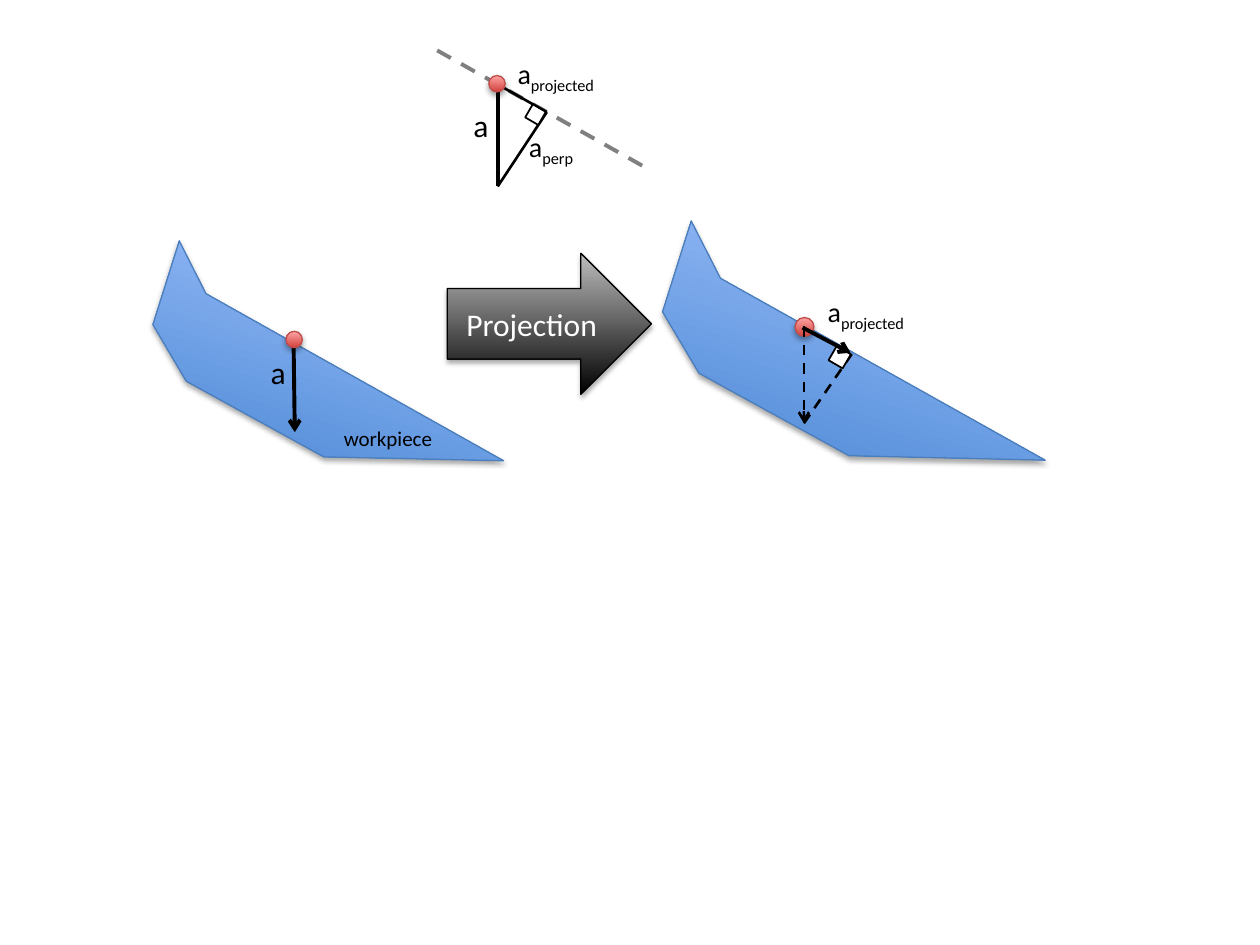
import pptx
import pptx.util
import pptx.dml.color
import pptx.enum.dml
import pptx.enum.shapes
import pptx.enum.text
import pptx.oxml
import pptx.oxml.ns

SHAPE = pptx.enum.shapes.MSO_SHAPE
BLUE = ("3F80CE", "A4C4FF", "4B7EBC")
RED = ("D1403C", "FFA6A5", "BF4C48")
GREY = ("000000", "BDBDBD", "000000")
WORKPIECE = [(0, 0.54), (0, 0), (0.11, 0.26), (1, 0.69), (0.54, 1), (0.13, 0.81)]


def color(value):
    return pptx.dml.color.RGBColor.from_string(value)


def add_xml(parent, tag, inner="", **attrs):
    pairs = " ".join(f'{k}="{v}"' for k, v in attrs.items())
    ns = pptx.oxml.ns.nsdecls("a")
    parent.append(pptx.oxml.parse_xml(f"<a:{tag} {ns} {pairs}>{inner}</a:{tag}>"))


class Sketch:
    font = "Calibri"
    ink = "000000"
    columns, rows = 100, 75

    def __init__(self, prs):
        self.col = prs.slide_width / self.columns
        self.row = prs.slide_height / self.rows
        self.shapes = prs.slides.add_slide(prs.slide_layouts[6]).shapes

    def start_group(self):
        self.shapes = self.shapes.add_group_shape().shapes

    def place(self, *lengths):
        return [round(n * (self.row if i % 2 else self.col)) for i, n in enumerate(lengths)]

    def glossy(self, sp, palette):
        dark, light, edge = palette
        sp.fill.gradient()
        sp.fill.gradient_angle = 90
        for stop, value in zip(sp.fill.gradient_stops, (dark, light)):
            stop.color.rgb = color(value)
        sp.line.color.rgb = color(edge)
        sp.line.width = pptx.util.Pt(0.75)
        sp.shadow.inherit = False
        effects = sp._element.spPr.find(pptx.oxml.ns.qn("a:effectLst"))
        add_xml(effects, "outerShdw",
                '<a:srgbClr val="000000"><a:alpha val="35000"/></a:srgbClr>',
                blurRad=pptx.util.Pt(3.1), dist=pptx.util.Pt(1.8),
                dir=5400000, rotWithShape=0)

    def workpiece(self, x, y, w, h):
        points = [self.place(x + u * w, y + v * h) for u, v in WORKPIECE]
        builder = self.shapes.build_freeform(*points[0], scale=1.0)
        builder.add_line_segments(points[1:], close=True)
        sp = builder.convert_to_shape()
        sp.rotation = 17.5
        self.glossy(sp, BLUE)

    def preset(self, kind, palette, *box):
        sp = self.shapes.add_shape(kind, *self.place(*box))
        self.glossy(sp, palette)
        return sp

    def dot(self, x, y, size):
        self.preset(SHAPE.OVAL, RED, x, y, size, size)

    def right_angle(self, x, y, size):
        sp = self.shapes.add_shape(SHAPE.RECTANGLE, *self.place(x, y, size, size))
        sp.rotation = 300.2
        sp.fill.solid()
        sp.fill.fore_color.rgb = color("FFFFFF")
        sp.line.color.rgb = color(self.ink)
        sp.line.width = pptx.util.Pt(1)
        sp.shadow.inherit = False

    def line(self, *ends, width=1.5, ink=ink, dashed=False, arrow=False):
        kind = pptx.enum.shapes.MSO_CONNECTOR.STRAIGHT
        cxn = self.shapes.add_connector(kind, *self.place(*ends))
        cxn.line.color.rgb = color(ink)
        cxn.line.width = pptx.util.Pt(width)
        if dashed:
            cxn.line.dash_style = pptx.enum.dml.MSO_LINE.DASH
        if arrow:
            add_xml(cxn.line._get_or_add_ln(), "tailEnd", type="arrow")
        add_xml(cxn._element.spPr, "effectLst")

    def set_text(self, sp, text, size, ink=ink, subscript=""):
        p = sp.text_frame.paragraphs[0]
        p.font.name = self.font
        p.font.size = pptx.util.Pt(size)
        p.font.color.rgb = color(ink)
        p.add_run().text = text
        if subscript:
            r = p.add_run()
            r.text = subscript
            r._r.get_or_add_rPr().set("baseline", "-25000")
        return p

    def label(self, x, y, w, h, text, size, subscript=""):
        sp = self.shapes.add_textbox(*self.place(x, y, w, h))
        tf = sp.text_frame
        tf.word_wrap = True
        tf.auto_size = pptx.enum.text.MSO_AUTO_SIZE.SHAPE_TO_FIT_TEXT
        self.set_text(sp, text, size, subscript=subscript)

    def block_arrow(self, x, y, w, h, text):
        sp = self.preset(SHAPE.RIGHT_ARROW, GREY, x, y, w, h)
        sp.text_frame.vertical_anchor = pptx.enum.text.MSO_ANCHOR.MIDDLE
        p = self.set_text(sp, text, 18, "FFFFFF")
        p.alignment = pptx.enum.text.PP_ALIGN.CENTER


prs = pptx.Presentation()
prs.slide_width = pptx.util.Inches(10)
prs.slide_height = pptx.util.Inches(7.5)
s = Sketch(prs)

s.workpiece(11.6, 23.3, 29.8, 12.9)
s.line(23.3, 27.2, 23.4, 34.3, width=2.25, arrow=True)
s.label(20.5, 27.5, 4.4, 4, "a", 18)
s.block_arrow(35.5, 20.1, 16.2, 11.2, "Projection")

s.line(34.7, 4, 51.6, 13.5, width=2.25, ink="808080", dashed=True)
s.line(39.5, 6.7, 39.5, 14.8, width=2.25)
s.label(36.6, 7.9, 4.4, 4, "a", 18)
s.line(43.4, 8.9, 39.5, 14.8)
s.line(43.4, 8.9, 39.5, 6.7)
s.dot(38.8, 6, 1.3)
s.label(41, 9.8, 6.7, 3.7, "a", 16, "perp")
s.label(40.1, 4, 9, 3.7, "a", 16, "projected")
s.dot(22.7, 26.3, 1.3)
s.right_angle(41.9, 8.5, 1.2)
s.label(26.3, 33.3, 9.2, 3, "workpiece", 12)

s.start_group()
s.workpiece(52, 22.1, 32.5, 14)
s.label(64.7, 22.9, 9.8, 4, "a", 16, "projected")
s.dot(63.1, 25.2, 1.5)
s.line(67.6, 28.1, 63.8, 33.6, dashed=True)
s.right_angle(66, 27.7, 1.3)
s.line(63.8, 25.9, 63.8, 33.6, dashed=True, arrow=True)
s.line(63.7, 26, 67.5, 28, width=2.25, arrow=True)

prs.save("out.pptx")
